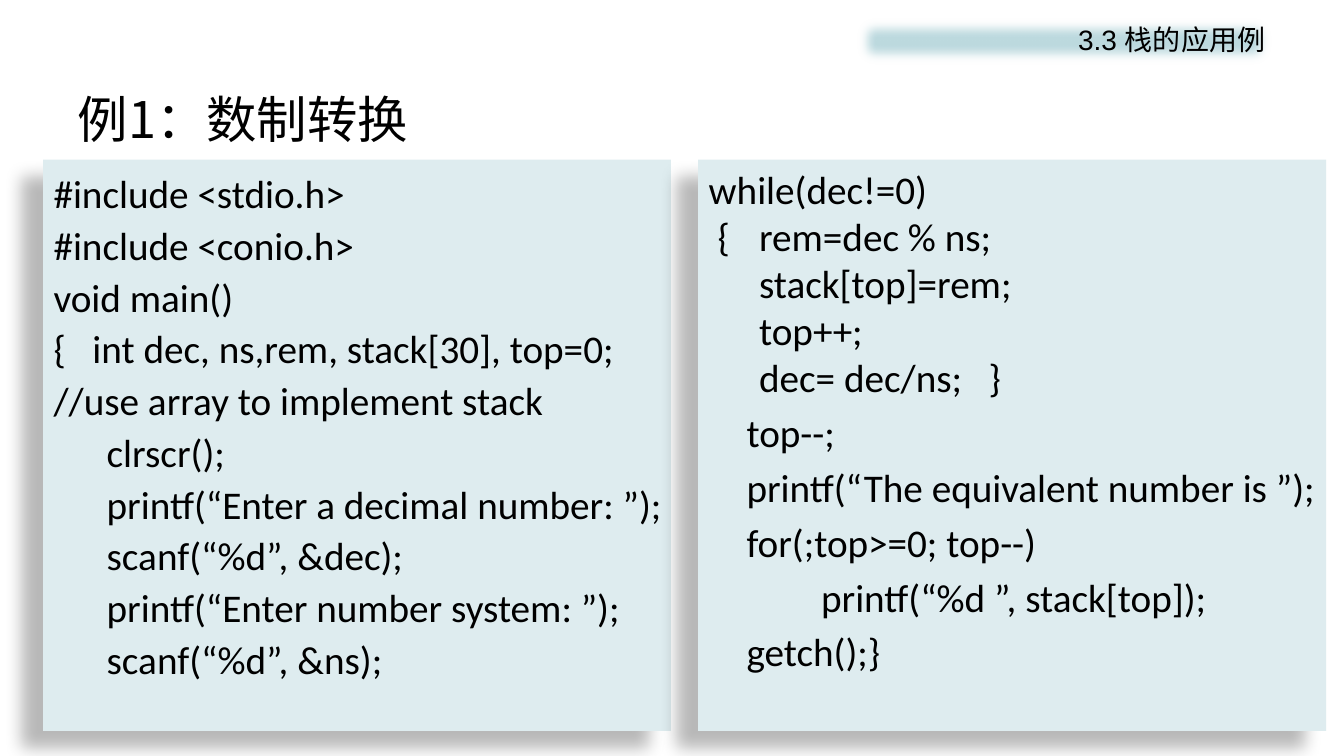
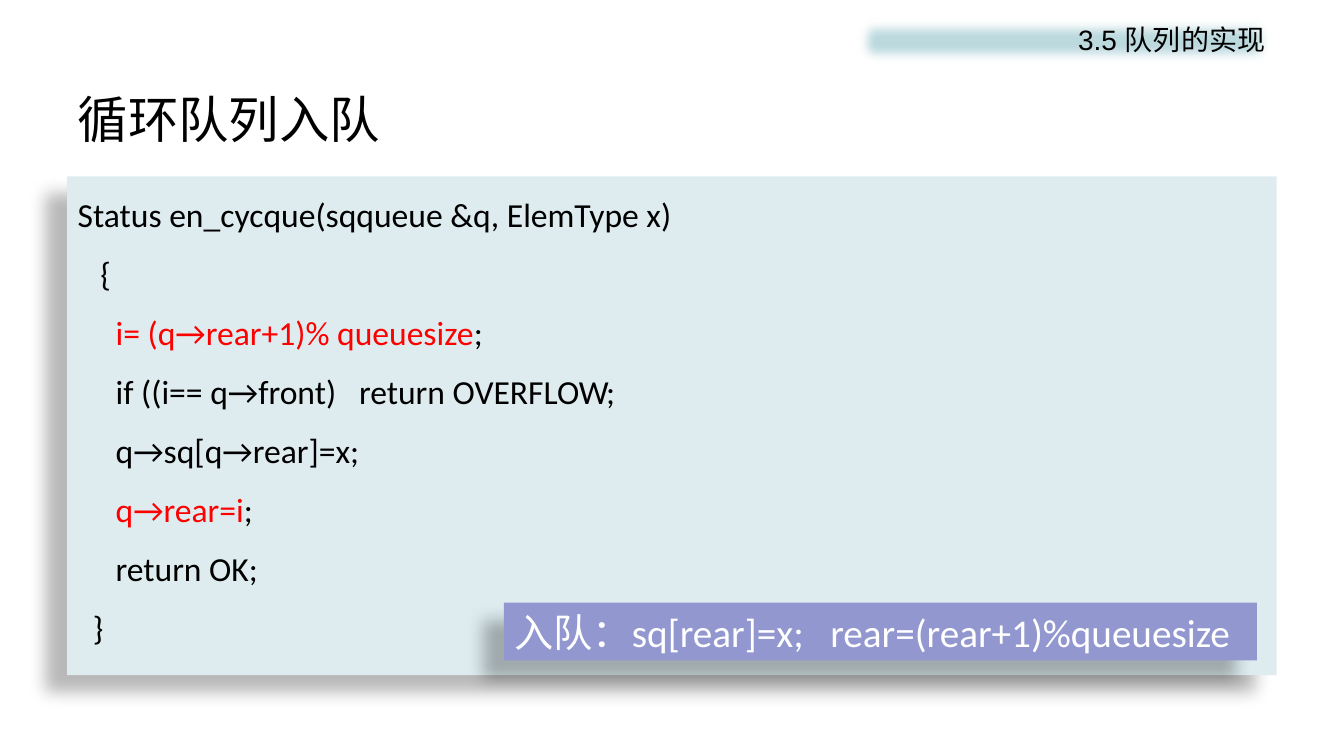
from dataclasses import dataclass

from lxml.etree import SubElement
from pptx import Presentation
from pptx.dml.color import RGBColor
from pptx.enum.shapes import MSO_SHAPE
from pptx.enum.text import MSO_ANCHOR as Anchor, PP_ALIGN as Align
from pptx.oxml.ns import qn
from pptx.util import Emu, Pt

EMU_PER_PX = 9525
INSET_X, INSET_Y = 10, 5

BLACK, WHITE, RED = "000000", "FFFFFF", "FF0000"
PANEL, BAND, CALLOUT = "DEECEF", "BDDADF", "9297CF"
TITLE_FONT, BAND_FONT, CODE_FONT = "Noto Sans CJK SC", "Arial", "Calibri"


@dataclass(frozen=True)
class Box:
    left: int
    top: int
    width: int
    height: int


@dataclass(frozen=True)
class Run:
    text: str
    color: str | None = None


@dataclass(frozen=True)
class Line:
    runs: tuple[Run, ...]
    indent: int = 0
    space_before: float = 0


@dataclass(frozen=True)
class Panel:
    box: Box
    lines: list[Line]
    size: int = 28
    line_spacing: float = 1.0
    fill: str = PANEL
    color: str = BLACK


TITLE_BOX = Box(64, 77, 1152, 72)
BAND_BOX = Box(812, 13, 403, 52)


def px(length: int) -> Emu:
    return Emu(length * EMU_PER_PX)


def rgb(color: str) -> RGBColor:
    return RGBColor.from_string(color)


def code(source: str, indent: int = 0, space_before: float = 0) -> list[Line]:
    """Split source into lines of one run each."""
    return [Line((Run(text),), indent, space_before) for text in source.split("\n")]


def write_text(shape, lines: list[Line], *, font: str, size: int, color: str = BLACK,
               align=Align.LEFT, anchor=Anchor.TOP, line_spacing: float = 1.0,
               inset_top: int = INSET_Y, inset_right: int = INSET_X) -> None:
    frame = shape.text_frame
    frame.word_wrap = True
    frame.vertical_anchor = anchor
    frame.margin_left, frame.margin_right = px(INSET_X), px(inset_right)
    frame.margin_top, frame.margin_bottom = px(inset_top), px(INSET_Y)
    for index, line in enumerate(lines):
        paragraph = frame.paragraphs[0] if index == 0 else frame.add_paragraph()
        paragraph.alignment = align
        paragraph.line_spacing = line_spacing
        paragraph.space_before = Pt(line.space_before if index else 0)
        properties = paragraph._p.get_or_add_pPr()
        properties.set("marL", str(px(line.indent)))
        properties.set("indent", "0")
        for part in line.runs:
            run = paragraph.add_run()
            run.text = part.text
            run.font.name = font
            run.font.size = Pt(size)
            run.font.color.rgb = rgb(part.color or color)
            SubElement(run._r.get_or_add_rPr(), qn("a:ea"), typeface=font)


def add_rectangle(slide, box: Box, fill: str):
    shape = slide.shapes.add_shape(MSO_SHAPE.RECTANGLE, px(box.left), px(box.top),
                                   px(box.width), px(box.height))
    shape.shadow.inherit = False
    shape.fill.solid()
    shape.fill.fore_color.rgb = rgb(fill)
    shape.line.fill.background()
    return shape


def add_effect(shape, name: str, **attributes: str):
    effects = shape._element.spPr.find(qn("a:effectLst"))
    return SubElement(effects, qn(name), **attributes)


def add_panel(slide, panel: Panel) -> None:
    shape = add_rectangle(slide, panel.box, panel.fill)
    shadow = add_effect(shape, "a:outerShdw", blurRad="149860", dist="250190",
                        dir="8460000", algn="ctr", rotWithShape="0")
    shadow_color = SubElement(shadow, qn("a:srgbClr"), val=BLACK)
    SubElement(shadow_color, qn("a:alpha"), val="28000")
    write_text(shape, panel.lines, font=CODE_FONT, size=panel.size, color=panel.color,
               line_spacing=panel.line_spacing, inset_right=0)


def add_code_slide(presentation, section: str, title: str, panels: list[Panel]) -> None:
    slide = presentation.slides.add_slide(presentation.slide_layouts[6])
    slide.background.fill.solid()
    slide.background.fill.fore_color.rgb = rgb(WHITE)
    heading = slide.shapes.add_textbox(px(TITLE_BOX.left), px(TITLE_BOX.top),
                                       px(TITLE_BOX.width), px(TITLE_BOX.height))
    write_text(heading, code(title), font=TITLE_FONT, size=36, anchor=Anchor.MIDDLE)
    band = add_rectangle(slide, BAND_BOX, BAND)
    add_effect(band, "a:softEdge", rad="112500")
    write_text(band, code(section), font=BAND_FONT, size=20, align=Align.RIGHT,
               inset_top=8)
    for panel in panels:
        add_panel(slide, panel)


READ_INPUT = code("""#include <stdio.h>
#include <conio.h>
void main()
{   int dec, ns,rem, stack[30], top=0;
//use array to implement stack
      clrscr();
      printf(“Enter a decimal number: ”);
      scanf(“%d”, &dec);
      printf(“Enter number system: ”);
      scanf(“%d”, &ns);""")

CONVERT = [
    *code("""while(dec!=0)
 {\trem=dec % ns;
\tstack[top]=rem;
\ttop++;
\tdec= dec/ns;   }"""),
    *code("""top--;
printf(“The equivalent number is ”);
for(;top>=0; top--)""", indent=36, space_before=5.6),
    *code("printf(“%d ”, stack[top]);", indent=107, space_before=5.6),
    *code("getch();}", indent=36, space_before=5.6),
]


def enqueue_lines() -> list[Line]:
    gap = 4.8

    def marked(statement: str) -> Line:
        return Line((Run("     "), Run(statement, RED), Run(";")), space_before=gap)

    return [
        *code("Status en_cycque(sqqueue &q, ElemType x)\n   {", space_before=gap),
        marked("i= (q→rear+1)% queuesize"),
        *code("     if ((i== q→front)   return OVERFLOW;\n     q→sq[q→rear]=x;",
              space_before=gap),
        marked("q→rear=i"),
        *code("     return OK;\n  }", space_before=gap),
    ]


def main() -> None:
    presentation = Presentation()
    presentation.slide_width, presentation.slide_height = px(1280), px(720)
    add_code_slide(presentation, "3.3 栈的应用例", "例1：数制转换", [
        Panel(Box(41, 152, 598, 544), READ_INPUT, line_spacing=1.1),
        Panel(Box(665, 152, 598, 544), CONVERT),
    ])
    add_code_slide(presentation, "3.5 队列的实现", "循环队列入队", [
        Panel(Box(64, 168, 1152, 475), enqueue_lines(), size=24, line_spacing=1.3),
        Panel(Box(480, 574, 717, 55),
              code("入队：sq[rear]=x;   rear=(rear+1)%queuesize"),
              fill=CALLOUT, color=WHITE),
    ])
    presentation.save("out.pptx")


if __name__ == "__main__":
    main()
